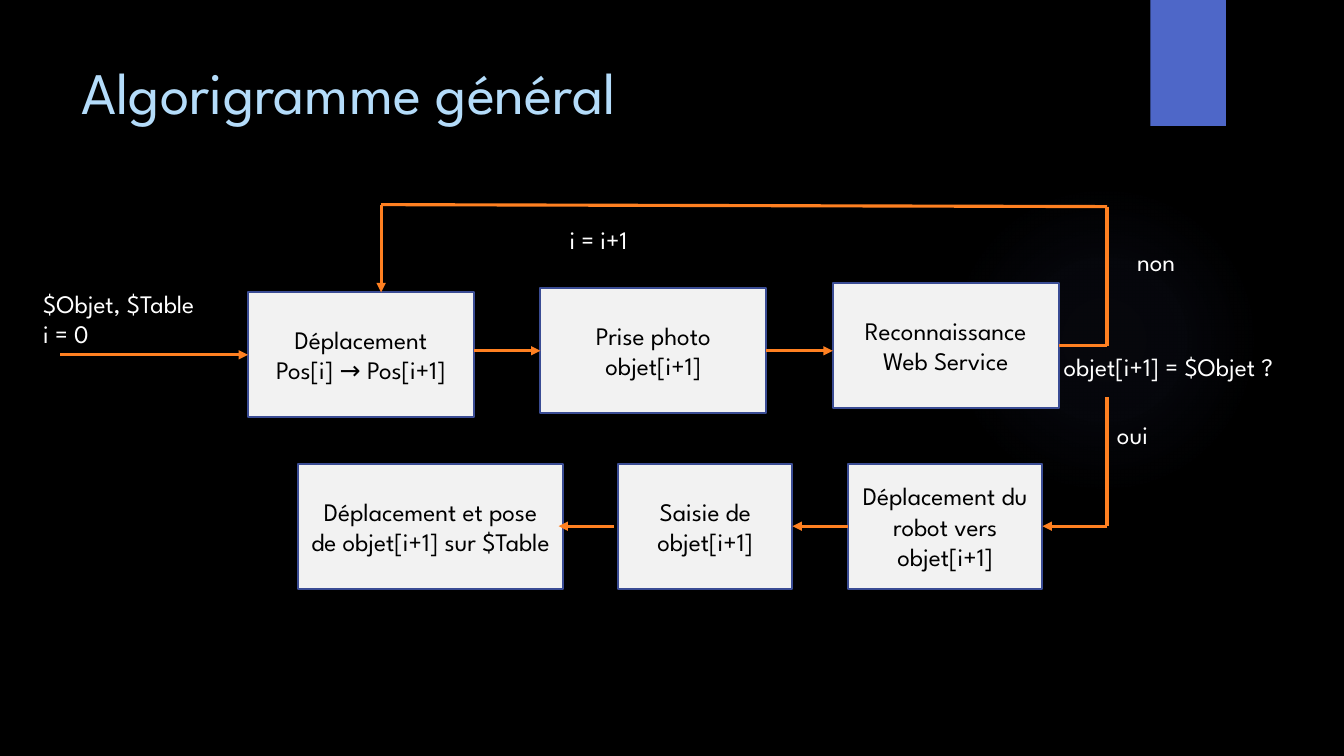
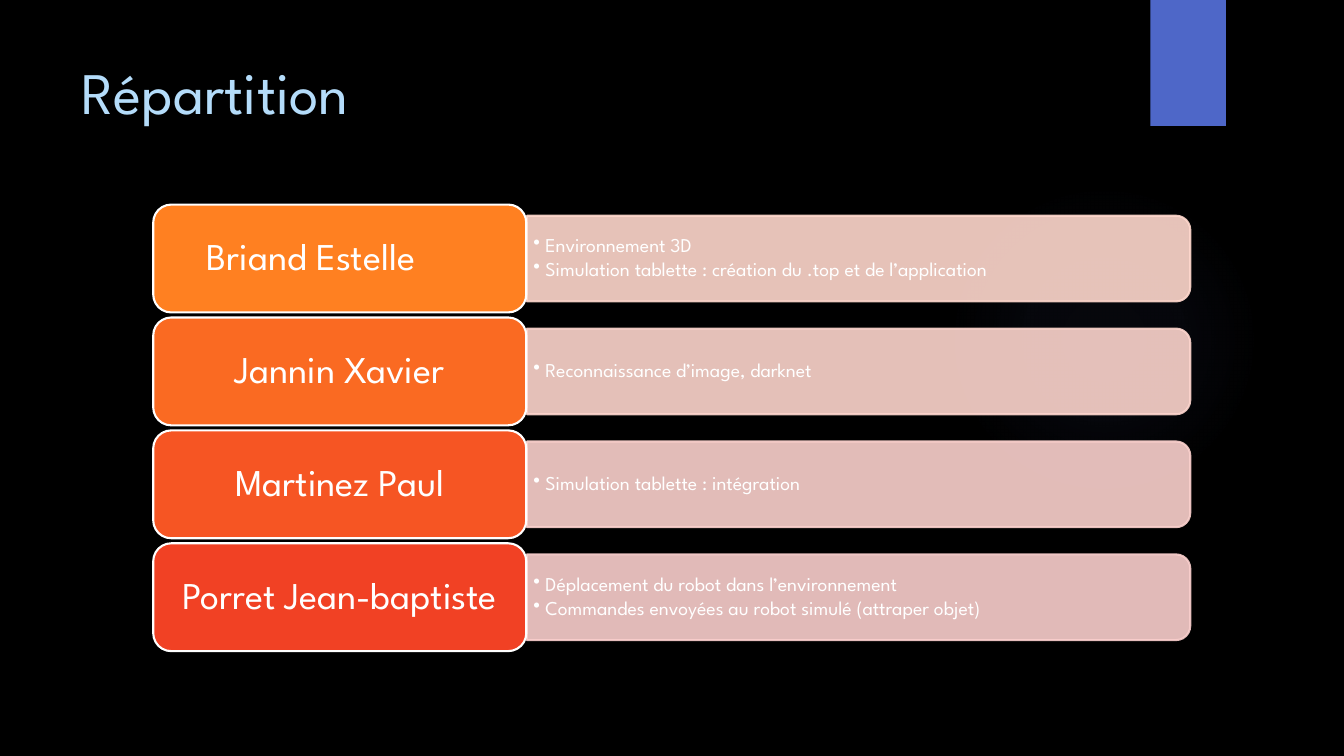
from lxml import etree
from pptx import Presentation, util as u
from pptx.dml.color import RGBColor
from pptx.enum import shapes, text
from pptx.oxml import parse_xml
from pptx.oxml.ns import nsdecls, qn

FONT = "League Spartan"
BLACK, WHITE = "000000", "FFFFFF"
TITLE_BLUE, BAND_BLUE, GLOW_BLUE = "B4DCFA", "4E67C8", "5968B0"
BOX_GREY, BOX_EDGE, ORANGE = "F2F2F2", "3A4C94", "FF8021"
LEFT, CENTER = text.PP_ALIGN.LEFT, text.PP_ALIGN.CENTER
TOP, MIDDLE = text.MSO_ANCHOR.TOP, text.MSO_ANCHOR.MIDDLE
color = RGBColor.from_string


def paint(shape, fill, line=None):
    shape.shadow.inherit = False
    shape.fill.solid()
    shape.fill.fore_color.rgb = color(fill)
    if line:
        shape.line.color.rgb = color(line)
        shape.line.width = u.Pt(1.5)
    else:
        shape.line.fill.background()


def write(shape, lines, size, ink, align=LEFT, anchor=TOP, spacing=None, bullet=False,
          insets=(0.1, 0.05, 0.1, 0.05)):
    frame = shape.text_frame
    frame.word_wrap = True
    frame.vertical_anchor = anchor
    frame.margin_left, frame.margin_top, frame.margin_right, frame.margin_bottom = map(u.Inches, insets)
    for index, line in enumerate(lines):
        paragraph = frame.add_paragraph() if index else frame.paragraphs[0]
        paragraph.alignment = align
        if spacing:
            paragraph.line_spacing = spacing
        if bullet:
            paragraph.space_after = u.Pt(2)
            properties = paragraph._p.get_or_add_pPr()
            properties.set("marL", str(u.Inches(0.12)))
            properties.set("indent", str(-u.Inches(0.12)))
            etree.SubElement(properties, qn("a:buChar")).set("char", "•")
        run = paragraph.add_run()
        run.text = line
        run.font.name = FONT
        run.font.size = u.Pt(size)
        run.font.color.rgb = color(ink)


presentation = Presentation()
presentation.slide_width = u.Inches(13.33)
presentation.slide_height = u.Inches(7.5)

slides = []
for title in ("Algorigramme général", "Répartition"):
    slide = presentation.slides.add_slide(presentation.slide_layouts[6])
    slide.background.fill.solid()
    slide.background.fill.fore_color.rgb = color(BLACK)

    glow = slide.shapes.add_shape(shapes.MSO_SHAPE.OVAL, u.Inches(9.41), u.Inches(1.83),
                                  u.Inches(3.08), u.Inches(3.08))
    paint(glow, GLOW_BLUE)
    stops = "".join(
        f'<a:gs pos="{position}000"><a:srgbClr val="{GLOW_BLUE}"><a:alpha val="{alpha}000"/></a:srgbClr></a:gs>'
        for position, alpha in ((0, 7), (36, 6), (69, 0)))
    gradient = parse_xml(
        f'<a:gradFill {nsdecls("a")}><a:gsLst>{stops}</a:gsLst><a:path path="circle">'
        '<a:fillToRect l="50000" t="50000" r="50000" b="50000"/></a:path></a:gradFill>')
    properties = glow._element.spPr
    properties.replace(properties.find(qn("a:solidFill")), gradient)

    band = slide.shapes.add_shape(shapes.MSO_SHAPE.RECTANGLE, u.Inches(11.41), 0,
                                  u.Inches(0.75), u.Inches(1.25))
    paint(band, BAND_BLUE)
    heading = slide.shapes.add_textbox(u.Inches(0.71), u.Inches(0.5), u.Inches(10.29), u.Inches(1.53))
    write(heading, [title], 42, TITLE_BLUE)
    slides.append(slide)

flow_slide, team_slide = slides

steps = {
    "move": (2.46, 2.9, 2.24, ["Déplacement", "Pos[i] → Pos[i+1]"]),
    "photo": (5.36, 2.86, 2.24, ["Prise photo", "objet[i+1]"]),
    "recognition": (8.26, 2.81, 2.24, ["Reconnaissance", "Web Service"]),
    "approach": (8.41, 4.6, 1.93, ["Déplacement du robot vers", "objet[i+1]"]),
    "grasp": (6.13, 4.6, 1.73, ["Saisie de objet[i+1]"]),
    "drop": (2.96, 4.6, 2.62, ["Déplacement et pose de objet[i+1] sur $Table"]),
}
boxes = {}
for name, (left, top, width, lines) in steps.items():
    box = flow_slide.shapes.add_shape(shapes.MSO_SHAPE.RECTANGLE, u.Inches(left), u.Inches(top),
                                      u.Inches(width), u.Inches(1.24))
    paint(box, BOX_GREY, BOX_EDGE)
    write(box, lines, 18, BLACK, CENTER, MIDDLE)
    boxes[name] = box

links = [
    (0.6, 3.52, 2.46, 3.52, True, None, ("move", 1)),
    (4.7, 3.48, 5.36, 3.48, True, None, ("photo", 1)),
    (7.6, 3.48, 8.26, 3.48, True, ("photo", 3), None),
    (10.5, 3.43, 10.98, 3.43, False, ("recognition", 3), None),
    (10.98, 2.05, 10.98, 3.43, False, None, None),
    (3.78, 2.03, 10.98, 2.05, False, None, None),
    (3.78, 2.03, 3.78, 2.9, True, None, None),
    (10.98, 3.94, 10.98, 5.22, False, None, None),
    (10.98, 5.22, 10.34, 5.22, True, None, ("approach", 3)),
    (8.41, 5.22, 7.86, 5.22, True, ("approach", 1), ("grasp", 3)),
    (6.09, 5.22, 5.54, 5.22, True, None, None),
]
for x1, y1, x2, y2, arrow, source, target in links:
    link = flow_slide.shapes.add_connector(shapes.MSO_CONNECTOR.STRAIGHT, u.Inches(x1), u.Inches(y1),
                                           u.Inches(x2), u.Inches(y2))
    if source:
        link.begin_connect(boxes[source[0]], source[1])
    if target:
        link.end_connect(boxes[target[0]], target[1])
    link.line.color.rgb = color(ORANGE)
    link.line.width = u.Pt(2.25)
    properties = link._element.spPr
    if arrow:
        etree.SubElement(properties.find(qn("a:ln")), qn("a:tailEnd")).set("type", "triangle")
    etree.SubElement(properties, qn("a:effectLst"))

labels = [
    (0.33, 2.81, 2.13, 0.71, ["$Objet, $Table", "i = 0"]),
    (10.45, 3.44, 2.83, 0.4, ["objet[i+1] = $Objet ?"]),
    (10.98, 4.11, 1.85, 0.4, ["oui"]),
    (5.55, 2.18, 1.85, 0.4, ["i = i+1"]),
    (11.18, 2.39, 1.85, 0.4, ["non"]),
]
for left, top, width, height, lines in labels:
    label = flow_slide.shapes.add_textbox(u.Inches(left), u.Inches(top), u.Inches(width), u.Inches(height))
    write(label, lines, 18, WHITE)

members = [
    ("Briand Estelle", "FF8021", "FFD8CD", 0.68,
     ["Environnement 3D", "Simulation tablette : création du .top et de l’application"]),
    ("Jannin Xavier", "FA6A22", "FDD5CD", 0.11, ["Reconnaissance d’image, darknet"]),
    ("Martinez Paul", "F65523", "FBD1CD", 0.11, ["Simulation tablette : intégration"]),
    ("Porret Jean-baptiste", "F14124", "FACFCD", 0.11,
     ["Déplacement du robot dans l’environnement", "Commandes envoyées au robot simulé (attraper objet)"]),
]
CARD_HEIGHT, BAR_LENGTH, BAR_HEIGHT, TASK_HEIGHT = 1.07, 6.58, 0.85, 0.77
for row, (name, card_fill, bar_fill, right_inset, tasks) in enumerate(members):
    top = 2.03 + 1.12 * row
    middle = top + CARD_HEIGHT / 2

    bar = team_slide.shapes.add_shape(
        shapes.MSO_SHAPE.ROUND_2_SAME_RECTANGLE, u.Inches(8.09), u.Inches(middle - BAR_LENGTH / 2),
        u.Inches(BAR_HEIGHT), u.Inches(BAR_LENGTH))
    bar.rotation = 90
    paint(bar, bar_fill, bar_fill)
    for tint in bar._element.spPr.iter(qn("a:srgbClr")):
        etree.SubElement(tint, qn("a:alpha")).set("val", "90000")

    task_box = team_slide.shapes.add_textbox(u.Inches(5.23), u.Inches(middle - TASK_HEIGHT / 2),
                                             u.Inches(6.54), u.Inches(TASK_HEIGHT))
    write(task_box, tasks, 14, WHITE, LEFT, MIDDLE, 0.9, True, (0.06, 0.03, 0.06, 0.03))

    card = team_slide.shapes.add_shape(shapes.MSO_SHAPE.ROUNDED_RECTANGLE, u.Inches(1.52), u.Inches(top),
                                       u.Inches(3.7), u.Inches(CARD_HEIGHT))
    paint(card, card_fill, WHITE)
    write(card, [name], 27, WHITE, CENTER, MIDDLE, 0.9, False, (0.11, 0.06, right_inset, 0.06))

presentation.save("out.pptx")
